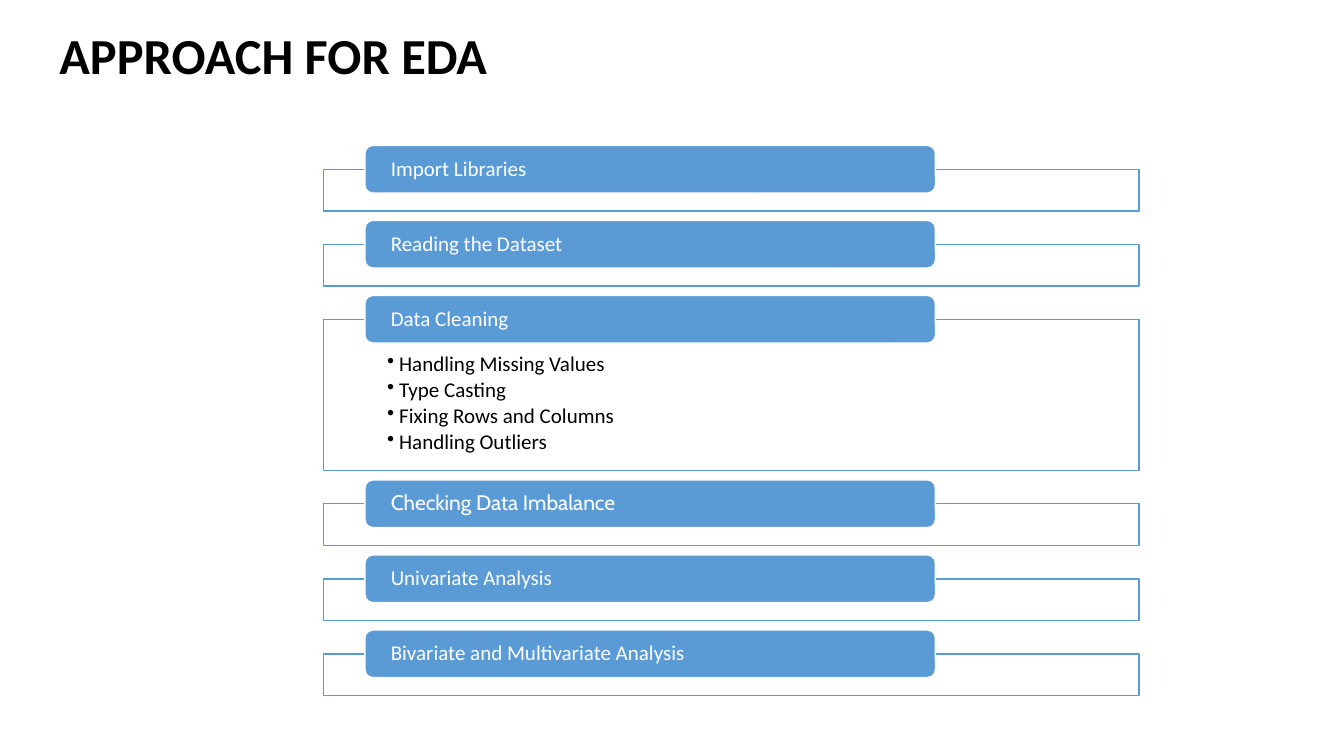
from lxml.etree import SubElement
from pptx import Presentation
from pptx.dml.color import RGBColor
from pptx.enum.shapes import MSO_SHAPE as Shape
from pptx.enum.text import MSO_ANCHOR as Anchor, MSO_AUTO_SIZE as AutoSize, PP_ALIGN as Align
from pptx.oxml.ns import qn
from pptx.util import Inches, Pt

COLUMNS, ROWS = 160, 90
BLUE, WHITE, BLACK = "5B9BD5", "FFFFFF", "000000"
FRAME_LEFT, FRAME_WIDTH, FRAME_HEIGHT, FRAME_GAP = 38.52, 97.08, 4.96, 3.97
TAB_LEFT, TAB_WIDTH, TAB_HEIGHT = 43.44, 67.92, 5.67
FIRST_TOP = 20.15
CLEANING_HEIGHT = 18
CLEANING_STEPS = ["Handling Missing Values", "Type Casting",
                  "Fixing Rows and Columns", "Handling Outliers"]
STAGES = [
    ("Import Libraries", "Calibri", []),
    ("Reading the Dataset", "Calibri", []),
    ("Data Cleaning", "Calibri", CLEANING_STEPS),
    ("Checking Data Imbalance", "Cabin", []),
    ("Univariate Analysis", "Calibri", []),
    ("Bivariate and Multivariate Analysis", "Calibri", []),
]


def color(value):
    """Turn a hex string into a colour."""
    return RGBColor.from_string(value)


def write(paragraph, text, font="Calibri", size=15, ink=WHITE, bold=False,
          line_spacing=0.9, space_after=0):
    """Put formatted text into a paragraph."""
    paragraph.alignment = Align.LEFT
    paragraph.line_spacing = line_spacing
    paragraph.space_after = Pt(space_after)
    run = paragraph.add_run()
    run.text = text
    run.font.name, run.font.size, run.font.bold = font, Pt(size), bold
    run.font.color.rgb = color(ink)


def add_bullet(paragraph, indent=0.12):
    """Give a paragraph a hanging round bullet."""
    properties = paragraph._p.get_or_add_pPr()
    properties.set("marL", str(Inches(indent)))
    properties.set("indent", str(-Inches(indent)))
    SubElement(properties, qn("a:buChar")).set("char", "•")


class StageSlide:
    """Hold the slide, its grid and the style of its elements."""

    def __init__(self, presentation):
        """Add a title-only slide and measure its grid."""
        self.slide = presentation.slides.add_slide(presentation.slide_layouts[5])
        self.column = presentation.slide_width / COLUMNS
        self.row = presentation.slide_height / ROWS

    def place(self, left, top, width, height):
        """Turn grid units into lengths."""
        return (round(left * self.column), round(top * self.row),
                round(width * self.column), round(height * self.row))

    def set_insets(self, text_frame, left, top, right, bottom):
        """Set text margins in grid units."""
        margins = self.place(left, top, right, bottom)
        (text_frame.margin_left, text_frame.margin_top,
         text_frame.margin_right, text_frame.margin_bottom) = margins
        text_frame.word_wrap = True

    def title(self, text):
        """Place and format the title."""
        shape = self.slide.shapes.title
        shape.left, shape.top, shape.width, shape.height = self.place(5.88, 3.72, 68.52, 7.08)
        shape.text_frame.auto_size = AutoSize.NONE
        shape.text_frame.vertical_anchor = Anchor.BOTTOM
        write(shape.text_frame.paragraphs[0], text, size=36, ink=BLACK, bold=True)

    def box(self, kind, place, fill, line):
        """Add a filled and outlined shape."""
        shape = self.slide.shapes.add_shape(kind, *self.place(*place))
        shape.shadow.inherit = False
        shape.fill.solid()
        shape.fill.fore_color.rgb = color(fill)
        shape.line.color.rgb = color(line)
        shape.line.width = Pt(1)
        return shape

    def frame(self, top, height, items):
        """Add an outlined frame with its bulleted items."""
        shape = self.box(Shape.RECTANGLE, (FRAME_LEFT, top, FRAME_WIDTH, height), WHITE, BLUE)
        fill = shape._element.spPr.find(qn("a:solidFill"))
        SubElement(fill[0], qn("a:alpha")).set("val", "90000")
        text_frame = shape.text_frame
        self.set_insets(text_frame, 7.56, 4.08, 7.56, 1.44)
        text_frame.vertical_anchor = Anchor.TOP
        for index, item in enumerate(items):
            paragraph = text_frame.add_paragraph() if index else text_frame.paragraphs[0]
            write(paragraph, item, ink=BLACK, space_after=2.25)
            add_bullet(paragraph)

    def tab(self, top, text, font):
        """Add the rounded label of a stage."""
        shape = self.box(Shape.ROUNDED_RECTANGLE, (TAB_LEFT, top, TAB_WIDTH, TAB_HEIGHT), BLUE, WHITE)
        self.set_insets(shape.text_frame, 2.8, 0, 2.8, 0)
        shape.text_frame.vertical_anchor = Anchor.MIDDLE
        write(shape.text_frame.paragraphs[0], text, font=font)


def main():
    """Build and save the slide."""
    presentation = Presentation()
    presentation.slide_width, presentation.slide_height = Inches(13.33), Inches(7.5)
    page = StageSlide(presentation)
    page.title("APPROACH FOR EDA")
    top = FIRST_TOP
    for label, font, items in STAGES:
        height = CLEANING_HEIGHT if items else FRAME_HEIGHT
        page.frame(top, height, items)
        page.tab(top - TAB_HEIGHT / 2, label, font)
        top += height + FRAME_GAP
    presentation.save("out.pptx")


if __name__ == "__main__":
    main()
